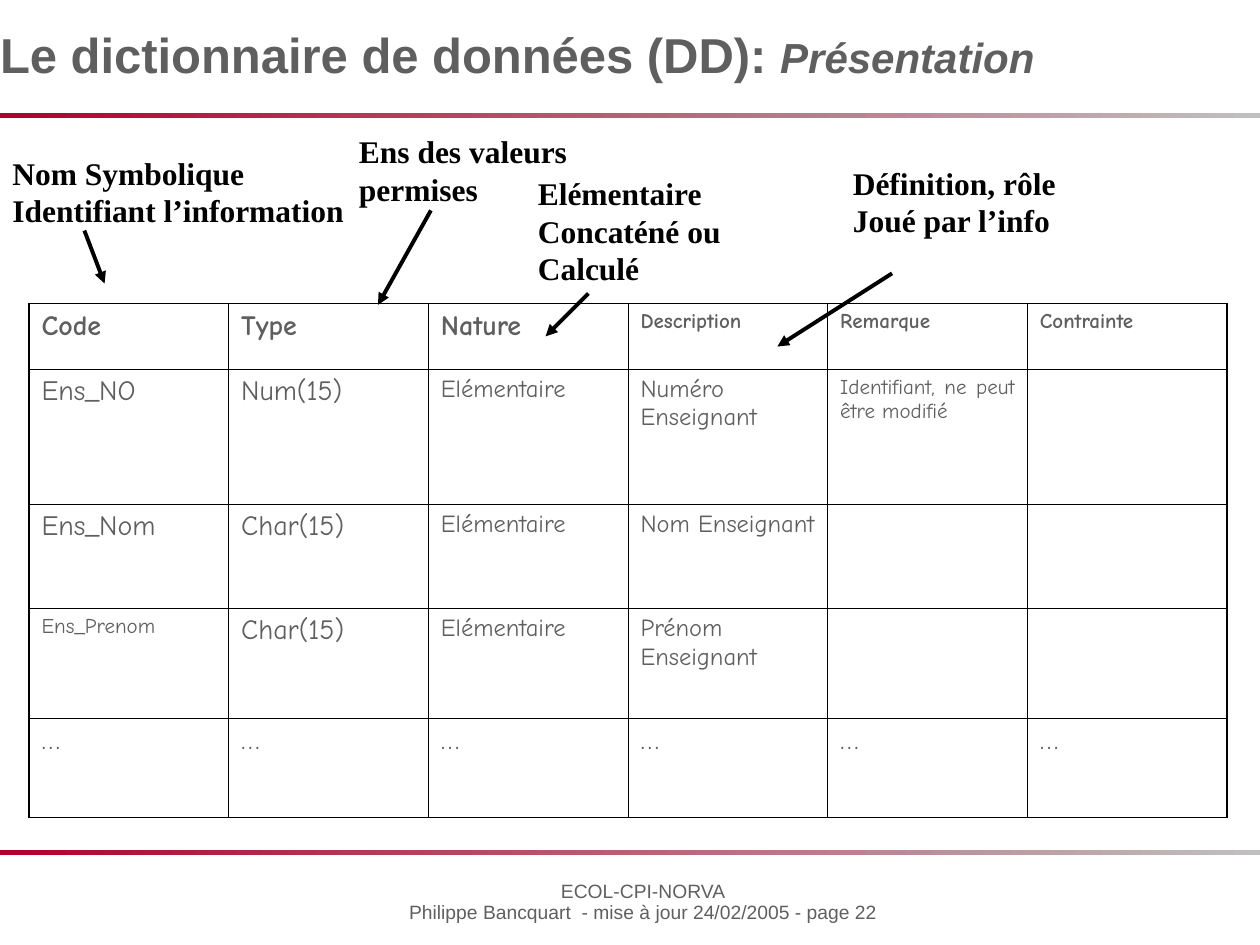
import lxml.etree
import pptx
import pptx.dml.color
import pptx.enum.shapes
import pptx.enum.text
import pptx.oxml.ns
import pptx.util

Inches = pptx.util.Inches
Pt = pptx.util.Pt
qn = pptx.oxml.ns.qn
Align = pptx.enum.text.PP_ALIGN
AutoSize = pptx.enum.text.MSO_AUTO_SIZE

GREY, BLACK, SILVER, CRIMSON = "5F5F5F", "000000", "C0C0C0", "B0002C"
TITLE_FONT = {"name": "Arial", "size": Pt(28), "bold": True}
FOOTER_FONT = {"name": "Arial", "size": Pt(11)}
NOTE_FONT = {"name": "Times New Roman", "size": Pt(18), "bold": True}
TABLE_FONT = {"name": "Comic Neue"}

ROWS = [
    (0.52, [("Code", 16), ("Type", 16), ("Nature", 16),
            ("Description", 12), ("Remarque", 12), ("Contrainte", 12)]),
    (1.07, [("Ens_NO", 16), ("Num(15)", 16), ("Elémentaire", 14),
            ("Numéro Enseignant", 14), ("Identifiant, ne peut être modifié", 12)]),
    (0.83, [("Ens_Nom", 16), ("Char(15)", 16), ("Elémentaire", 14), ("Nom Enseignant", 14)]),
    (0.87, [("Ens_Prenom", 12), ("Char(15)", 16), ("Elémentaire", 14), ("Prénom Enseignant", 14)]),
    (0.79, [("…", 16)] * 6),
]

NOTES = [
    ((0, 1.17, 2.83, 0.7), ["Nom Symbolique", "Identifiant l’information"], (0.67, 0.66), (0.83, 1.08)),
    ((2.75, 1, 1.85, 0.7), ["Ens des valeurs", "permises"], (0.67, 0.67), (0.25, 1.42)),
    ((4.17, 1.33, 1.65, 1), ["Elémentaire", "Concaténé ou", "Calculé"], (0.5, 1), (0.16, 1.34)),
    ((6.67, 1.25, 1.81, 0.7), ["Définition, rôle", "Joué par l’info"], (0.41, 0.92), (-0.5, 1.5)),
]


def color(hex_code):
    """Return the colour object for a hex string."""
    return pptx.dml.color.RGBColor.from_string(hex_code)


def apply(target, values):
    """Set each attribute named in a dict of format values."""
    for name, value in values.items():
        setattr(target, name, value)


def add_span(para, text, font, hex_code):
    """Add a formatted run to a paragraph."""
    span = para.add_run()
    span.text = text
    apply(span.font, font)
    span.font.color.rgb = color(hex_code)


def fill_lines(frame, lines, font, hex_code, layout):
    """Write one formatted paragraph for each line of text."""
    for index, line in enumerate(lines):
        para = frame.add_paragraph() if index else frame.paragraphs[0]
        apply(para, layout)
        add_span(para, line, font, hex_code)


def add_title(page, box):
    """Place the slide title with its italic subtitle."""
    title = page.shapes.title
    apply(title, dict(zip(("left", "top", "width", "height"), map(Inches, box))))
    apply(title.text_frame, {
        "margin_left": 0, "margin_top": 0, "margin_right": 0, "margin_bottom": 0,
        "vertical_anchor": pptx.enum.text.MSO_ANCHOR.BOTTOM,
        "auto_size": AutoSize.SHAPE_TO_FIT_TEXT, "word_wrap": True})
    para = title.text_frame.paragraphs[0]
    apply(para, {"alignment": Align.LEFT, "line_spacing": 0.9})
    add_span(para, "Le dictionnaire de données (DD): ", TITLE_FONT, GREY)
    add_span(para, "Présentation", TITLE_FONT | {"size": Pt(24), "italic": True}, GREY)


def add_rule(page, box):
    """Draw a gradient band across the page."""
    rule = page.shapes.add_shape(pptx.enum.shapes.MSO_SHAPE.RECTANGLE, *map(Inches, box))
    rule.shadow.inherit = False
    rule.line.fill.background()
    rule.fill.gradient()
    rule.fill.gradient_angle = 180
    for stop, hex_code in zip(rule.fill.gradient_stops, (SILVER, CRIMSON)):
        stop.color.rgb = color(hex_code)


def add_footer(page, box):
    """Place the centred footer lines."""
    frame = page.shapes.add_textbox(*map(Inches, box)).text_frame
    apply(frame, {"word_wrap": True, "auto_size": AutoSize.SHAPE_TO_FIT_TEXT})
    lines = ["ECOL-CPI-NORVA", "Philippe Bancquart  - mise à jour 24/02/2005 - page 22"]
    fill_lines(frame, lines, FOOTER_FONT, GREY, {"alignment": Align.CENTER, "line_spacing": 0.9})


def set_borders(cell, weights):
    """Draw the left, right, top and bottom borders of a cell."""
    properties = cell._tc.get_or_add_tcPr()
    for index, (side, weight) in enumerate(weights.items()):
        line = lxml.etree.Element(qn("a:ln" + side), w=str(Pt(weight)))
        solid = lxml.etree.SubElement(line, qn("a:solidFill"))
        lxml.etree.SubElement(solid, qn("a:srgbClr"), val=BLACK)
        properties.insert(index, line)


def add_dictionary(page, box):
    """Build the data dictionary table with a heavier outer frame."""
    count = len(ROWS[0][1])
    table = page.shapes.add_table(len(ROWS), count, *map(Inches, box)).table
    apply(table, {"first_row": False, "horz_banding": False})
    for column in table.columns:
        column.width = Inches(box[2]) // count
    for row, (height, entries) in enumerate(ROWS):
        table.rows[row].height = Inches(height)
        for column in range(count):
            cell = table.cell(row, column)
            cell.fill.background()
            outer = {"L": column == 0, "R": column == count - 1,
                     "T": row == 0, "B": row == len(ROWS) - 1}
            set_borders(cell, {side: 1.08 if edge else 0.45 for side, edge in outer.items()})
            if column < len(entries):
                text, size = entries[column]
                font = TABLE_FONT | {"size": Pt(size), "bold": row == 0}
                layout = {"alignment": Align.JUSTIFY, "space_before": Pt(size)}
                fill_lines(cell.text_frame, [text], font, GREY, layout)


def add_note(page, box, lines, start, end):
    """Place a note and its arrow, whose ends are offsets from the note."""
    frame = page.shapes.add_textbox(*map(Inches, box)).text_frame
    apply(frame, {"word_wrap": False, "auto_size": AutoSize.SHAPE_TO_FIT_TEXT})
    fill_lines(frame, lines, NOTE_FONT, BLACK, {"alignment": Align.LEFT})
    ends = [Inches(box[axis] + point[axis]) for point in (start, end) for axis in (0, 1)]
    arrow = page.shapes.add_connector(pptx.enum.shapes.MSO_CONNECTOR.STRAIGHT, *ends)
    arrow.line.color.rgb = color(BLACK)
    arrow.line.width = Pt(2.25)
    lxml.etree.SubElement(arrow.line._get_or_add_ln(), qn("a:tailEnd"), type="triangle")
    lxml.etree.SubElement(arrow._element.spPr, qn("a:effectLst"))


def main():
    """Build the slide and save the deck."""
    deck = pptx.Presentation()
    apply(deck, {"slide_width": Inches(10), "slide_height": Inches(7.5)})
    page = deck.slides.add_slide(deck.slide_layouts[5])
    for top in (0.9, 6.75):
        add_rule(page, (0, top, 10, 0.04))
    add_footer(page, (2.81, 6.95, 4.59, 0.42))
    add_title(page, (0, 0.25, 8.5, 0.42))
    add_dictionary(page, (0.23, 2.41, 9.51, 4.09))
    for note in NOTES:
        add_note(page, *note)
    deck.save("out.pptx")


if __name__ == "__main__":
    main()
